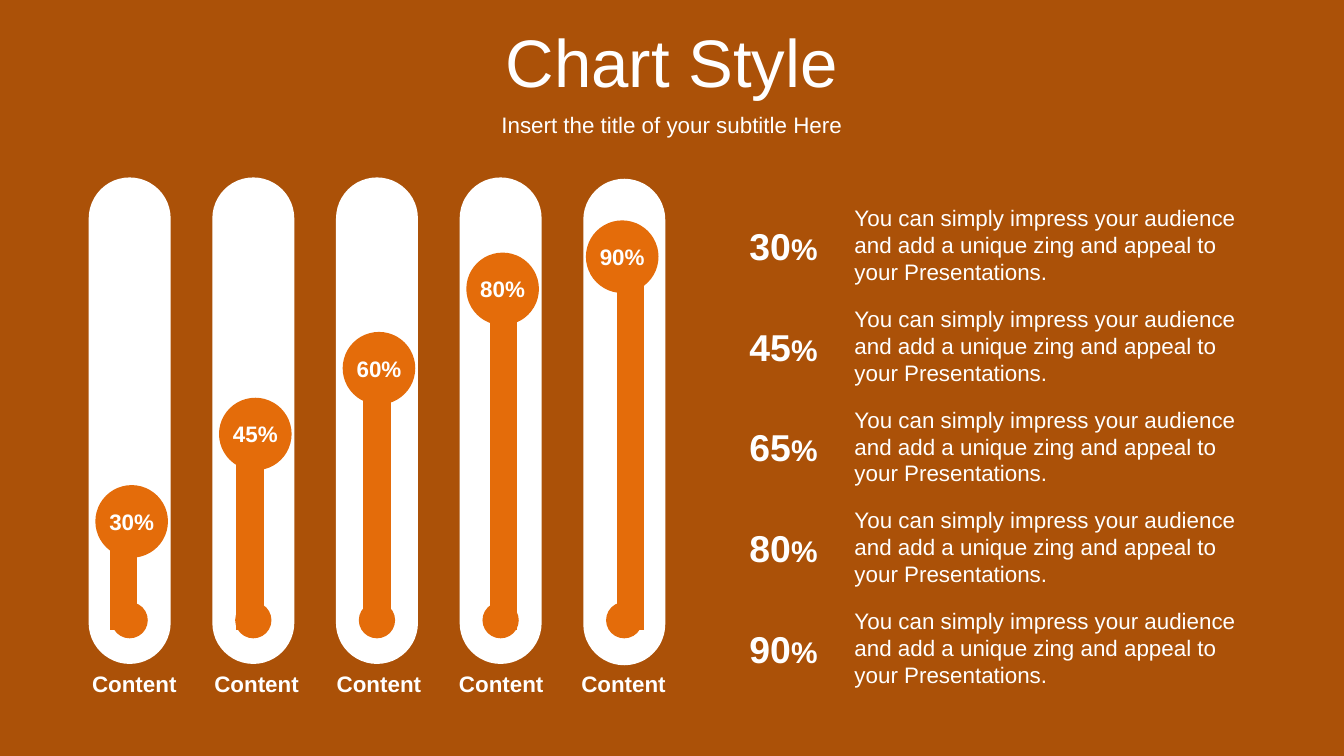
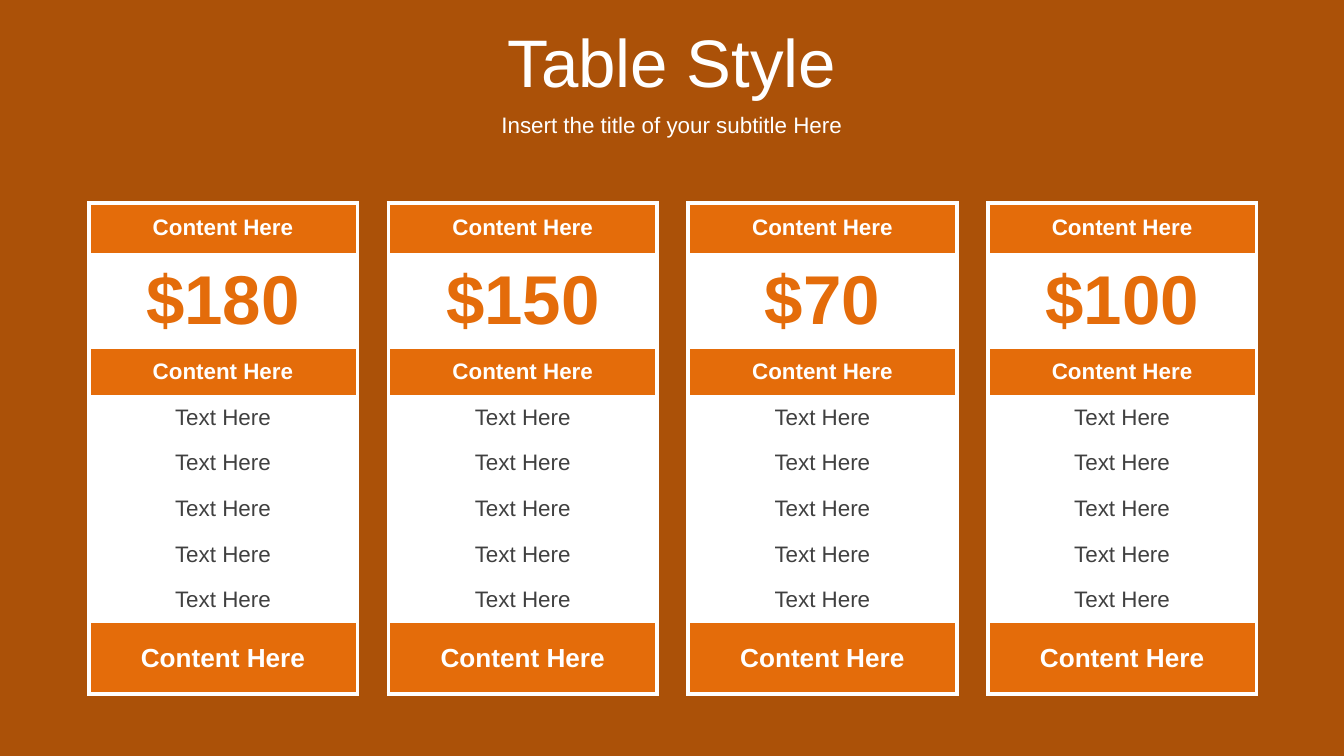
from dataclasses import dataclass

from lxml.etree import SubElement
from pptx import Presentation
from pptx.chart.data import CategoryChartData
from pptx.dml.color import RGBColor
from pptx.enum.chart import XL_CHART_TYPE as ChartType
from pptx.enum.shapes import MSO_SHAPE as Preset
from pptx.enum.text import MSO_ANCHOR as Anchor, PP_ALIGN as Align
from pptx.oxml.ns import qn
from pptx.util import Inches, Pt


@dataclass(frozen=True)
class Theme:
    font: str = "Arial"
    ground: str = "AB5108"
    accent: str = "E46C0A"
    white: str = "FFFFFF"
    dark: str = "404040"
    title: int = 36
    price: int = 37
    number: int = 20
    sign: int = 16
    footer: int = 14
    body: int = 12
    border: float = 2.25


THEME = Theme()

SUBTITLE = "Insert the title of your subtitle Here"
BLURB = ("You can simply impress your audience and add a unique zing "
         "and appeal to your Presentations.")

# Each gauge: ball label, ball left, ball top, tube top
GAUGES = [
    ("30%", 0.71, 3.61, 1.32),
    ("45%", 1.63, 2.96, 1.32),
    ("60%", 2.55, 2.47, 1.32),
    ("80%", 3.47, 1.88, 1.32),
    ("90%", 4.36, 1.64, 1.33),
]
STEM_VALUES = [33, 50, 67, 89, 100]
LEGEND_NUMBERS = ["30", "45", "65", "80", "90"]
PRICES = ["$180", "$150", "$70", "$100"]
COLUMN_WIDTHS = [0.24, 1.52, 0.24]


def color(code):
    return RGBColor.from_string(code)


# Text
def add_span(para, text, size=THEME.body, ink=THEME.white, bold=False):
    span = para.add_run()
    span.text = text
    span.font.name = THEME.font
    span.font.size = Pt(size)
    span.font.bold = bold
    span.font.color.rgb = color(ink)


def add_text(page, left, top, width, height, align=Align.CENTER,
             anchor=Anchor.MIDDLE):
    """Add a wrapping text box and return its first paragraph."""
    box = page.shapes.add_textbox(Inches(left), Inches(top),
                                  Inches(width), Inches(height))
    frame = box.text_frame
    frame.word_wrap = True
    frame.vertical_anchor = anchor
    para = frame.paragraphs[0]
    para.alignment = align
    return para


def add_heading(page, text, top, height, size):
    para = add_text(page, 0, top, 10, height)
    space = SubElement(para._p.get_or_add_pPr(), qn("a:spcBef"))
    SubElement(space, qn("a:spcPct"), val="20000")
    add_span(para, text, size)


# Page
def add_page(deck, title):
    page = deck.slides.add_slide(deck.slide_layouts[6])
    page.background.fill.solid()
    page.background.fill.fore_color.rgb = color(THEME.ground)
    add_heading(page, title, 0.14, 0.63, THEME.title)
    add_heading(page, SUBTITLE, 0.77, 0.31, THEME.body)
    return page


# Shapes
def add_solid(page, preset, left, top, width, height, fill):
    shape = page.shapes.add_shape(preset, Inches(left), Inches(top),
                                  Inches(width), Inches(height))
    shape.shadow.inherit = False
    shape.fill.solid()
    shape.fill.fore_color.rgb = color(fill)
    shape.line.fill.background()
    return shape


def add_disc(page, left, top, size):
    add_solid(page, Preset.OVAL, left, top, size, size, THEME.accent)


# Chart
def add_stem_chart(page):
    data = CategoryChartData()
    data.categories = ["1", "2", "3", "4"]
    data.add_series("Series 1", STEM_VALUES)
    chart = page.shapes.add_chart(
        ChartType.COLUMN_STACKED, Inches(0.35), Inches(1.67),
        Inches(4.91), Inches(3.08), data).chart
    chart.has_legend = False
    chart.has_title = False
    chart.font.name = THEME.font
    chart.font.size = Pt(18)
    chart.font.color.rgb = color("000000")
    chart.category_axis.visible = False
    value_axis = chart.value_axis
    value_axis.visible = False
    value_axis.has_major_gridlines = False
    value_axis.minimum_scale = 0
    value_axis.maximum_scale = 100
    plot = chart.plots[0]
    plot.vary_by_categories = False
    plot.gap_width = 360
    plot.overlap = 100
    fill = plot.series[0].format.fill
    fill.solid()
    fill.fore_color.rgb = color(THEME.accent)


def add_gauges(page):
    for i, (_, _, _, top) in enumerate(GAUGES):
        tube = add_solid(page, Preset.ROUNDED_RECTANGLE, 0.66 + 0.92 * i,
                         top, 0.61, 3.62, THEME.white)
        tube.adjustments[0] = 0.5
    add_stem_chart(page)
    for i, (label, left, top, _) in enumerate(GAUGES):
        add_disc(page, left, top, 0.54)
        add_disc(page, 0.83 + 0.92 * i, 4.48, 0.27)
        add_span(add_text(page, left - 0.01, top + 0.12, 0.56, 0.3),
                 label, bold=True)
        add_span(add_text(page, 0.57 + 0.91 * i, 4.94, 0.86, 0.3),
                 "Content", bold=True)


def add_legend(page):
    for i, number in enumerate(LEGEND_NUMBERS):
        top = 1.47 + 0.75 * i
        para = add_text(page, 5.4, top + 0.14, 0.86, 0.44, anchor=Anchor.TOP)
        add_span(para, number, THEME.number, bold=True)
        add_span(para, "%", THEME.sign, bold=True)
        para = add_text(page, 6.26, top, 3.1, 0.71, Align.LEFT, Anchor.TOP)
        add_span(para, BLURB)


# Tables
def set_borders(cell, sides):
    """Draw the named sides in white and clear the others."""
    props = cell._tc.get_or_add_tcPr()
    for side in "LRTB":
        line = SubElement(props, qn(f"a:ln{side}"))
        if side in sides:
            line.set("w", str(Pt(THEME.border)))
            fill = SubElement(line, qn("a:solidFill"))
            SubElement(fill, qn("a:srgbClr"), val=THEME.white)
        else:
            line.set("w", "0")
            SubElement(line, qn("a:noFill"))


def add_price_table(page, left, price):
    # Row: height, text, size, ink, bold, fill
    band = ("Content Here", THEME.body, THEME.white, True, THEME.accent)
    feature = ("Text Here", THEME.body, THEME.dark, False, THEME.white)
    rows = [
        (0.37, *band),
        (0.68, price, THEME.price, THEME.accent, True, THEME.white),
        (0.34, *band),
        *[(0.34, *feature)] * 5,
        (0.53, "Content Here", THEME.footer, THEME.white, True, THEME.accent),
    ]
    last = len(rows) - 1
    table = page.shapes.add_table(
        len(rows), len(COLUMN_WIDTHS), Inches(left), Inches(1.51),
        Inches(sum(COLUMN_WIDTHS)), Inches(sum(row[0] for row in rows))).table
    table.first_row = False
    table.horz_banding = False
    for column, width in zip(table.columns, COLUMN_WIDTHS):
        column.width = Inches(width)
    table.cell(last, 0).merge(table.cell(last, 2))

    for r, (height, text, size, ink, bold, fill) in enumerate(rows):
        table.rows[r].height = Inches(height)
        text_column = 0 if r == last else 1
        for c in range(len(COLUMN_WIDTHS)):
            cell = table.cell(r, c)
            sides = "L" if c == 0 else ""
            sides += "R" if c == 2 or cell.is_merge_origin else ""
            sides += "T" if r == 0 else ""
            sides += "B" if r == last else ""
            set_borders(cell, sides)
            cell.fill.solid()
            cell.fill.fore_color.rgb = color(fill)
            cell.vertical_anchor = Anchor.MIDDLE
            para = cell.text_frame.paragraphs[0]
            para.alignment = Align.CENTER
            if c == text_column:
                add_span(para, text, size, ink, bold)
            else:  # keeps empty cells from stretching the row
                SubElement(para._p, qn("a:endParaRPr"),
                           sz=str(THEME.body * 100))


def main():
    deck = Presentation()
    deck.slide_width = Inches(10)
    deck.slide_height = Inches(10) * 9 // 16

    # Gauge chart
    page = add_page(deck, "Chart Style")
    add_gauges(page)
    add_legend(page)

    # Price tables
    page = add_page(deck, "Table Style")
    for i, price in enumerate(PRICES):
        add_price_table(page, 0.66 + 2.23 * i, price)

    deck.save("out.pptx")


if __name__ == "__main__":
    main()
